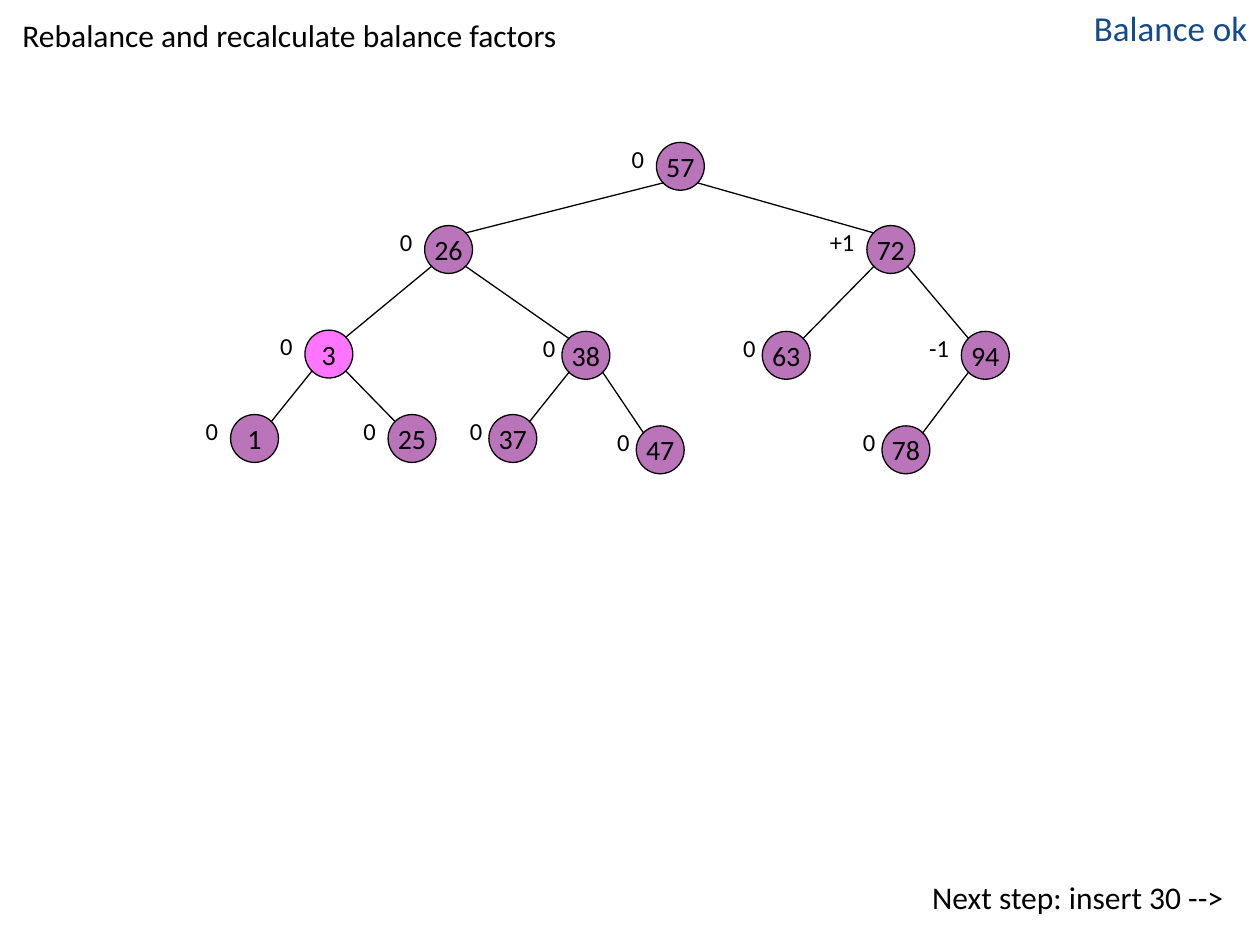
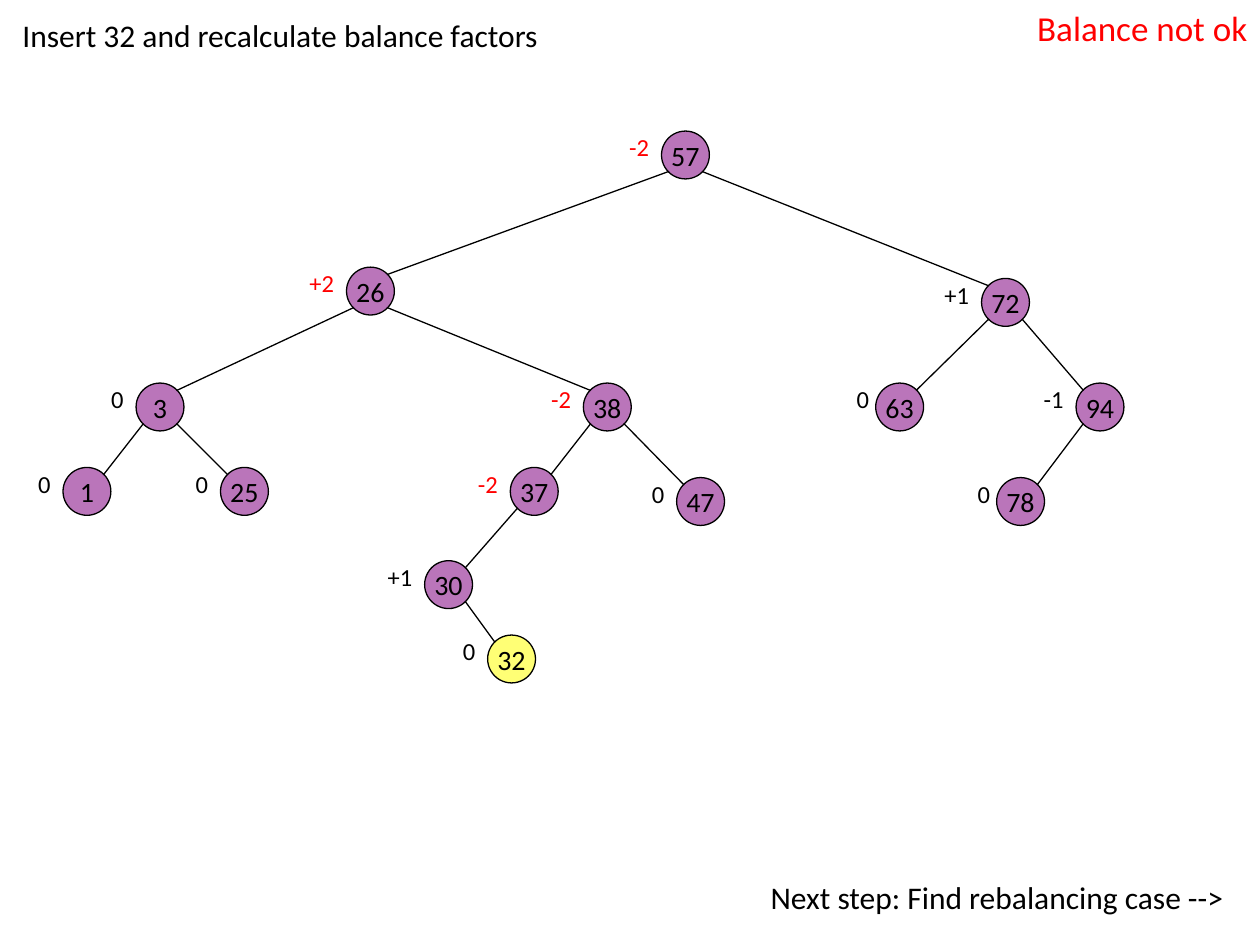
import pptx
import pptx.util
import pptx.dml.color
import pptx.enum.shapes
import pptx.enum.text
import pptx.oxml
import pptx.oxml.ns

Inches = pptx.util.Inches
RGBColor = pptx.dml.color.RGBColor
Align = pptx.enum.text.PP_ALIGN

BLACK = RGBColor(0x00, 0x00, 0x00)
RED = RGBColor(0xFF, 0x00, 0x00)
BLUE = RGBColor(0x13, 0x4A, 0x8B)
PURPLE = RGBColor(0x80, 0x00, 0x80)
MAGENTA = RGBColor(0xFF, 0x00, 0xFF)
YELLOW = RGBColor(0xFF, 0xFF, 0x00)

NODE_SIZE = 0.38
NODE_OPACITY = 54
EDGE_REACH = 0.13
LABEL_RISE = 0.04
NARROW_LABEL = 0.25

BALANCED_TREE = {
    57: (None, 5.21, 1.13, 0, 1.17),
    26: (57, 3.37, 1.79, 0, 0.92),
    72: (57, 6.88, 1.79, 1, 0.67),
    3: (26, 2.42, 2.62, 0, 0.5),
    38: (26, 4.46, 2.63, 0, NARROW_LABEL),
    63: (72, 6.05, 2.63, 0, NARROW_LABEL),
    94: (72, 7.63, 2.63, -1, 0.58),
    1: (3, 1.83, 3.29, 0, 0.5),
    25: (3, 3.08, 3.29, 0, 0.42),
    37: (38, 3.88, 3.29, 0, NARROW_LABEL),
    47: (38, 5.05, 3.38, 0, NARROW_LABEL),
    78: (94, 7.0, 3.38, 0, NARROW_LABEL),
}

UNBALANCED_TREE = {
    57: (None, 5.25, 1.04, -2, 1.17),
    26: (57, 2.75, 2.12, 2, 0.92),
    72: (57, 7.79, 2.21, 1, 0.67),
    3: (26, 1.08, 3.04, 0, 0.5),
    38: (26, 4.63, 3.04, -2, 0.71),
    63: (72, 6.95, 3.04, 0, NARROW_LABEL),
    94: (72, 8.54, 3.04, -1, 0.58),
    1: (3, 0.5, 3.71, 0, 0.5),
    25: (3, 1.75, 3.71, 0, 0.42),
    37: (38, 4.05, 3.71, -2, 0.63),
    47: (38, 5.37, 3.79, 0, 0.63),
    78: (94, 7.91, 3.79, 0, NARROW_LABEL),
    30: (37, 3.37, 4.45, 1, 0.45),
    32: (30, 3.87, 5.04, 0, 0.45),
}


class TreeDeck:
    font_name = "Calibri"
    line_width = pptx.util.Pt(0.75)

    def __init__(self):
        self.presentation = pptx.Presentation()
        self.presentation.slide_width = Inches(10)
        self.presentation.slide_height = Inches(7.5)
        self.slide = None

    def set_text(self, shape, text, size, color, align):
        paragraph = shape.text_frame.paragraphs[0]
        paragraph.text = text
        paragraph.alignment = align
        for run in paragraph.runs:
            run.font.name = self.font_name
            run.font.size = pptx.util.Pt(size)
            run.font.color.rgb = color

    def text_box(self, box, text, size, color=BLACK, align=Align.RIGHT):
        shape = self.slide.shapes.add_textbox(*map(Inches, box))
        shape.text_frame.word_wrap = True
        shape.text_frame.auto_size = pptx.enum.text.MSO_AUTO_SIZE.SHAPE_TO_FIT_TEXT
        self.set_text(shape, text, size, color, align)
        return shape

    def start_slide(self, title, next_step, status, status_color):
        self.slide = self.presentation.slides.add_slide(self.presentation.slide_layouts[6])
        self.text_box((0.08, 0.08, 9.92, 0.5), title, 18, align=Align.LEFT)
        footer = self.text_box((0, 6.92, 9.92, 0.5), f"Next step: {next_step} -->", 18)
        footer.text_frame.margin_right = Inches(0.21)
        self.text_box((7.33, 0, 2.67, 0.43), status, 20, status_color)

    def edge(self, parent_center, child_center, side):
        (parent_x, parent_y), (child_x, child_y) = parent_center, child_center
        ends = (parent_x + side * EDGE_REACH, parent_y + EDGE_REACH,
                child_x - side * EDGE_REACH, child_y - EDGE_REACH)
        connector = self.slide.shapes.add_connector(
            pptx.enum.shapes.MSO_CONNECTOR.STRAIGHT, *map(Inches, ends))
        connector.line.color.rgb = BLACK
        connector.line.width = self.line_width
        properties = connector.element.spPr
        properties.append(pptx.oxml.parse_xml(f"<a:effectLst {pptx.oxml.ns.nsdecls('a')}/>"))

    def node(self, key, left, top, fill):
        shape = self.slide.shapes.add_shape(
            pptx.enum.shapes.MSO_SHAPE.OVAL,
            *map(Inches, (left, top, NODE_SIZE, NODE_SIZE)))
        shape.shadow.inherit = False
        shape.fill.solid()
        shape.fill.fore_color.rgb = fill
        color = shape.element.spPr.find(".//" + pptx.oxml.ns.qn("a:srgbClr"))
        color.append(pptx.oxml.parse_xml(
            f"<a:alpha {pptx.oxml.ns.nsdecls('a')} val='{NODE_OPACITY * 1000}'/>"))
        shape.line.color.rgb = BLACK
        shape.line.width = self.line_width
        shape.text_frame.word_wrap = False
        shape.text_frame.vertical_anchor = pptx.enum.text.MSO_ANCHOR.MIDDLE
        self.set_text(shape, str(key), 16, BLACK, Align.CENTER)

    def balance_label(self, balance, left, top, width):
        self.text_box((left - width, top - LABEL_RISE, width, 0.33),
                      f"{balance:+d}" if balance else "0", 14,
                      RED if abs(balance) > 1 else BLACK,
                      Align.LEFT if width == NARROW_LABEL else Align.RIGHT)

    def tree(self, nodes, marked_key, marked_color):
        centers = {key: (left + NODE_SIZE / 2, top + NODE_SIZE / 2)
                   for key, (_, left, top, _, _) in nodes.items()}
        for key, (parent, *_) in nodes.items():
            if parent is not None:
                self.edge(centers[parent], centers[key], -1 if key < parent else 1)
        for key, (_, left, top, balance, label_width) in nodes.items():
            self.node(key, left, top, marked_color if key == marked_key else PURPLE)
            self.balance_label(balance, left, top, label_width)


def main():
    deck = TreeDeck()
    deck.start_slide("Rebalance and recalculate balance factors", "insert 30", "Balance ok", BLUE)
    deck.tree(BALANCED_TREE, 3, MAGENTA)
    deck.start_slide("Insert 32 and recalculate balance factors", "Find rebalancing case",
                     "Balance not ok", RED)
    deck.tree(UNBALANCED_TREE, 32, YELLOW)
    deck.presentation.save("out.pptx")


if __name__ == "__main__":
    main()
